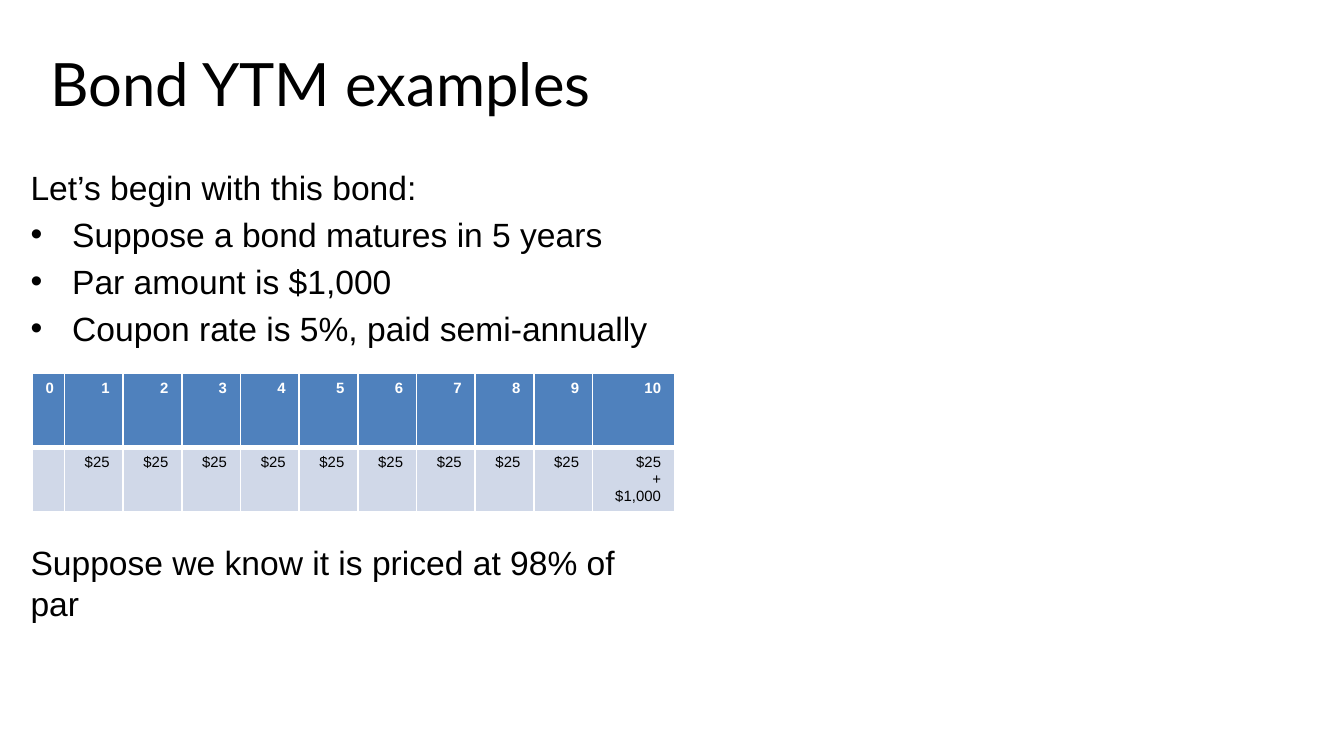
from dataclasses import dataclass
from typing import Any

from lxml import etree
from pptx import Presentation
from pptx.dml.color import RGBColor
from pptx.enum.text import MSO_ANCHOR, MSO_AUTO_SIZE, PP_ALIGN
from pptx.oxml.ns import qn
from pptx.util import Inches, Pt

LEFT, RIGHT = PP_ALIGN.LEFT, PP_ALIGN.RIGHT
TOP = MSO_ANCHOR.TOP
NO_FIT = MSO_AUTO_SIZE.NONE
SLIDE_WIDTH = Inches(10)
SLIDE_HEIGHT = SLIDE_WIDTH * 9 // 16


@dataclass(frozen=True)
class Theme:
    title_font: str = "Lato"
    body_font: str = "Arial"
    title_size: float = 32
    body_size: float = 18
    table_size: float = 8
    ink: str = "000000"
    paper: str = "FFFFFF"
    header_fill: str = "4F81BD"
    cash_flow_fill: str = "D0D8E8"


@dataclass(frozen=True)
class Area:
    left: float
    top: float
    width: float
    height: float


@dataclass(frozen=True)
class Statement:
    text: str
    bulleted: bool = False
    space_before: float | None = None


@dataclass(frozen=True)
class TableRow:
    height: float
    texts: list[str]
    fill: str
    color: str
    bold: bool
    bottom_border: float


THEME = Theme()
TITLE_AREA = Area(2.75, 5.33, 67.6, 19.4)
BODY_AREA = Area(1.27, 21, 48.7, 73.6)
TABLE_AREA = Area(2.4, 49.42, 47.7, 18)
FIRST_COLUMN, LAST_COLUMN = 2.3, 6.1
PERIODS = 10
BULLET_INDENT = Inches(0.31)

STATEMENTS = [
    Statement("Let’s begin with this bond:", space_before=0),
    Statement("Suppose a bond matures in 5 years", bulleted=True),
    Statement("Par amount is $1,000", bulleted=True),
    Statement("Coupon rate is 5%, paid semi-annually", bulleted=True),
    Statement("Suppose we know it is priced at 98% of par", space_before=104),
]
TABLE_ROWS = [
    TableRow(9.78, [str(period) for period in range(PERIODS + 1)],
             THEME.header_fill, THEME.paper, True, 3),
    TableRow(8.18, ["", *["$25"] * (PERIODS - 1), "$25\n+\n$1,000"],
             THEME.cash_flow_fill, THEME.ink, False, 1),
]


def across(percent: float) -> int:
    return round(SLIDE_WIDTH * percent / 100)


def down(percent: float) -> int:
    return round(SLIDE_HEIGHT * percent / 100)


def bounds(area: Area) -> dict[str, int]:
    return {"left": across(area.left), "top": down(area.top),
            "width": across(area.width), "height": down(area.height)}


def apply(target: Any, values: dict[str, Any]) -> None:
    for name, value in values.items():
        setattr(target, name, value)


def format_text(paragraph: Any, name: str, size: float, color: str, bold: bool = False) -> None:
    for run in paragraph.runs:
        apply(run.font, {"name": name, "size": Pt(size), "bold": bold})
        run.font.color.rgb = RGBColor.from_string(color)


def set_bullet(paragraph: Any, bulleted: bool) -> None:
    properties = paragraph._p.get_or_add_pPr()
    indent = BULLET_INDENT if bulleted else 0
    properties.set("marL", str(indent))
    properties.set("indent", str(-indent))
    if bulleted:
        etree.SubElement(properties, qn("a:buFont"), typeface=THEME.body_font)
        etree.SubElement(properties, qn("a:buChar"), char="•")
    else:
        etree.SubElement(properties, qn("a:buNone"))


def set_borders(cell: Any, bottom: float) -> None:
    properties = cell._tc.get_or_add_tcPr()
    widths = {"a:lnL": 1, "a:lnR": 1, "a:lnT": 1, "a:lnB": bottom}
    for index, (tag, width) in enumerate(widths.items()):
        line = etree.Element(qn(tag), w=str(Pt(width)))
        fill = etree.SubElement(line, qn("a:solidFill"))
        etree.SubElement(fill, qn("a:srgbClr"), val=THEME.paper)
        properties.insert(index, line)


def fill_title(title: Any) -> None:
    apply(title, bounds(TITLE_AREA))
    apply(title.text_frame, {"text": "Bond YTM examples", "vertical_anchor": TOP,
                             "auto_size": NO_FIT, "word_wrap": True})
    paragraph = title.text_frame.paragraphs[0]
    paragraph.alignment = LEFT
    format_text(paragraph, THEME.title_font, THEME.title_size, THEME.ink)


def fill_body(body: Any, statements: list[Statement]) -> None:
    apply(body, bounds(BODY_AREA))
    frame = body.text_frame
    apply(frame, {"text": "\n".join(statement.text for statement in statements),
                  "vertical_anchor": TOP, "auto_size": NO_FIT, "word_wrap": True,
                  "margin_top": Inches(0.06)})
    for paragraph, statement in zip(frame.paragraphs, statements):
        if statement.space_before is not None:
            paragraph.space_before = Pt(statement.space_before)
        set_bullet(paragraph, statement.bulleted)
        format_text(paragraph, THEME.body_font, THEME.body_size, THEME.ink)


def add_cash_flow_table(slide: Any, rows: list[TableRow]) -> None:
    column_count = PERIODS + 1
    table = slide.shapes.add_table(len(rows), column_count, **bounds(TABLE_AREA)).table
    middle = (TABLE_AREA.width - FIRST_COLUMN - LAST_COLUMN) / (column_count - 2)
    widths = [FIRST_COLUMN, *[middle] * (column_count - 2), LAST_COLUMN]
    for column, width in zip(table.columns, widths):
        column.width = across(width)
    for table_row, row in zip(table.rows, rows):
        table_row.height = down(row.height)
        for cell, text in zip(table_row.cells, row.texts):
            cell.text = text
            cell.fill.solid()
            cell.fill.fore_color.rgb = RGBColor.from_string(row.fill)
            set_borders(cell, row.bottom_border)
            for paragraph in cell.text_frame.paragraphs:
                paragraph.alignment = RIGHT
                format_text(paragraph, THEME.body_font, THEME.table_size, row.color, row.bold)


def main() -> None:
    presentation = Presentation()
    apply(presentation, {"slide_width": SLIDE_WIDTH, "slide_height": SLIDE_HEIGHT})
    slide = presentation.slides.add_slide(presentation.slide_layouts[1])
    fill_body(slide.placeholders[1], STATEMENTS)
    fill_title(slide.shapes.title)
    add_cash_flow_table(slide, TABLE_ROWS)
    presentation.save("out.pptx")


if __name__ == "__main__":
    main()
